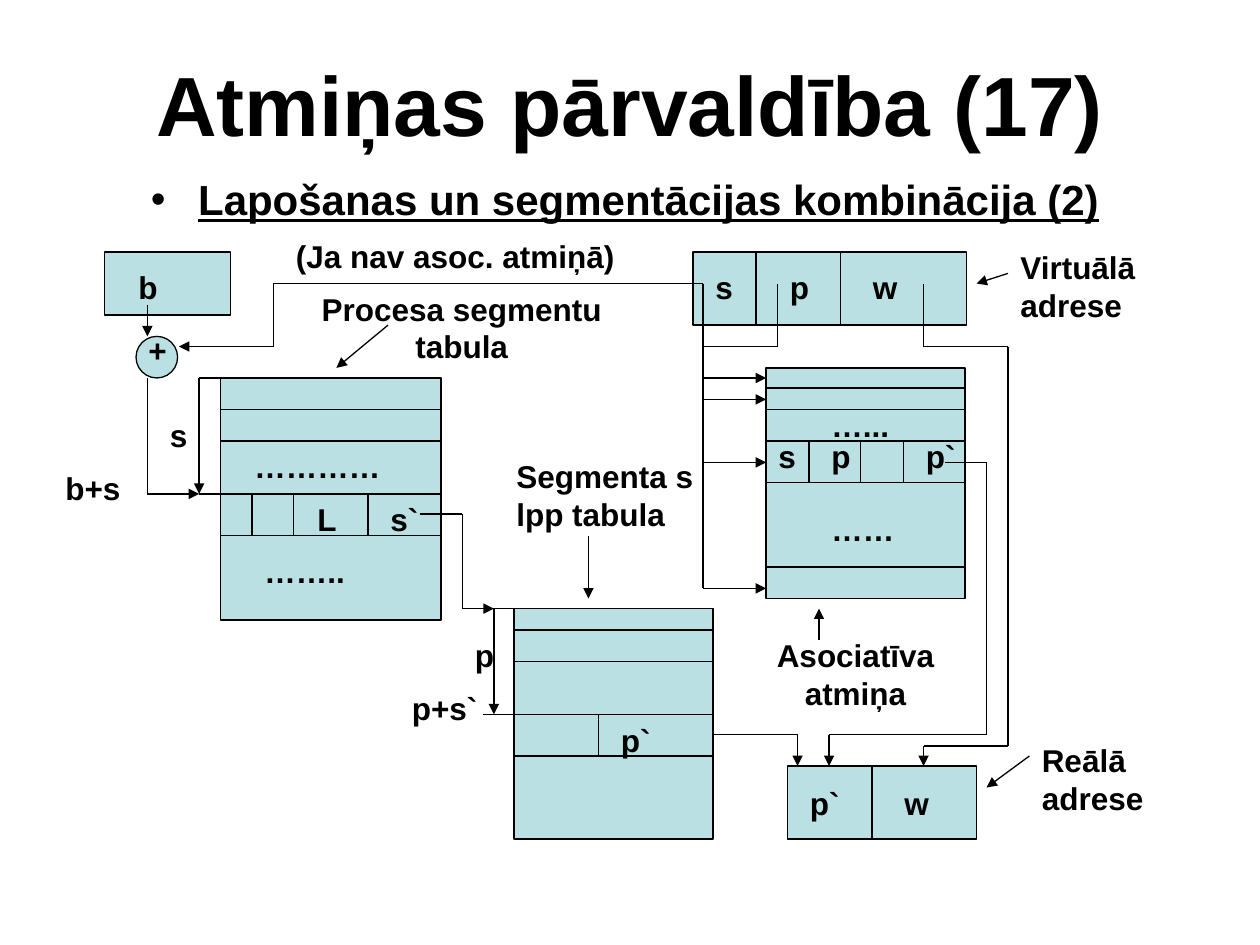
"""Build the slide on combining paging and segmentation."""
from itertools import pairwise

from lxml.etree import SubElement
from pptx import Presentation
from pptx.dml.color import RGBColor
from pptx.enum.shapes import MSO_CONNECTOR as CONN, MSO_SHAPE as SHAPE
from pptx.enum.text import MSO_ANCHOR as ANCHOR, MSO_AUTO_SIZE as AUTO, PP_ALIGN as ALIGN
from pptx.oxml.ns import qn
from pptx.util import Inches, Pt

BLACK = RGBColor(0x00, 0x00, 0x00)
TEAL = RGBColor(0xBB, 0xE0, 0xE3)


def write(s, text, size, align):
    tf = s.text_frame
    tf.word_wrap = True
    tf.text = text
    p = tf.paragraphs[0]
    p.alignment = align
    p.space_before = Pt(0)
    font = p.runs[0].font
    font.name, font.size, font.bold = "Arial", Pt(size), True
    font.color.rgb = BLACK
    return p


def draw_line(sp, points, arrow):
    segments = list(pairwise(points))
    for i, (start, end) in enumerate(segments, 1):
        c = sp.add_connector(CONN.STRAIGHT, *(Inches(v) for v in start + end))
        c.line.color.rgb = BLACK
        c.line.width = Pt(0.75)
        if arrow and i == len(segments):
            SubElement(c.line._get_or_add_ln(), qn("a:tailEnd"), type="triangle")
        SubElement(c._element.spPr, qn("a:effectLst"))


prs = Presentation()
prs.slide_width, prs.slide_height = Inches(10), Inches(7.5)
slide = prs.slides.add_slide(prs.slide_layouts[1])
sp = slide.shapes

title, body = sp.title, slide.placeholders[1]
title.left, title.top, title.width, title.height = map(Inches, (0.5, 0.3, 9, 1.03))
body.left, body.top, body.width, body.height = map(Inches, (0.5, 1.33, 8.92, 5.5))
title.text_frame.auto_size = body.text_frame.auto_size = AUTO.NONE
title.text_frame.vertical_anchor = ANCHOR.MIDDLE
write(title, "Atmiņas pārvaldība (17)", 48, ALIGN.CENTER)
p = body.text_frame.paragraphs[0]
pPr = p._p.get_or_add_pPr()
pPr.set("marL", "0")
pPr.set("indent", "0")
SubElement(pPr, qn("a:buNone"))
p = write(body, "Lapošanas un segmentācijas kombinācija (2)", 24, ALIGN.CENTER)
p.runs[0].font.underline = True

boxes = [
    (SHAPE.RECTANGLE, 0.83, 2, 1, 0.5),
    (SHAPE.RECTANGLE, 5.5, 2, 2.17, 0.58),
    (SHAPE.RECTANGLE, 6.08, 2.92, 1.58, 1.83),
    (SHAPE.RECTANGLE, 1.75, 3, 1.75, 1.92),
    (SHAPE.RECTANGLE, 4.08, 4.83, 1.58, 1.83),
    (SHAPE.RECTANGLE, 6.25, 6.08, 1.5, 0.58),
    (SHAPE.FLOWCHART_CONNECTOR, 1.08, 2.67, 0.33, 0.33),
]
for kind, *place in boxes:
    s = sp.add_shape(kind, *map(Inches, place))
    s.shadow.inherit = False
    s.fill.solid()
    s.fill.fore_color.rgb = TEAL
    s.line.color.rgb = BLACK
    s.line.width = Pt(0.75)

row_rules = [
    (1.75, 3.5, (3.25, 3.5, 4.25)),
    (1.58, 3.5, (3.92,)),
    (4.08, 5.67, (5, 5.25, 6)),
    (3.83, 5.67, (5.67,)),
    (6.08, 7.67, (3.08, 3.25, 3.5, 3.83, 4.5)),
]
for left, right, ys in row_rules:
    for y in ys:
        draw_line(sp, [(left, y), (right, y)], False)

column_rules = [
    (2, 2.58, (6, 6.67)),
    (3.92, 4.25, (2, 2.33, 2.92)),
    (3.5, 3.83, (6.42, 6.83, 7.17)),
    (5.67, 6, (4.75,)),
    (6.08, 6.67, (6.92,)),
]
for top, bottom, xs in column_rules:
    for x in xs:
        draw_line(sp, [(x, top), (x, bottom)], False)

plain_lines = [
    [(1.75, 3), (1.58, 3)],
    [(5.58, 2.25), (5.58, 4.67)],
    [(6.17, 2.25), (6.17, 2.75), (5.58, 2.75)],
    [(4.08, 4.83), (3.83, 4.83)],
]
for points in plain_lines:
    draw_line(sp, points, False)

arrows = [
    [(1.17, 2.42), (1.17, 2.67)],
    [(5.58, 2.25), (2.17, 2.25), (2.17, 2.75), (1.42, 2.75)],
    [(1.58, 3), (1.58, 3.92)],
    [(1.17, 3), (1.17, 3.92), (1.58, 3.92)],
    [(3.92, 4.83), (3.92, 5.67)],
    [(3.33, 4.08), (3.67, 4.08), (3.67, 4.83), (3.92, 4.83)],
    [(5.67, 5.83), (6.33, 5.83), (6.33, 6.08)],
    [(7.5, 3.67), (7.83, 3.67), (7.83, 5.83), (6.58, 5.83), (6.58, 6.08)],
    [(7.33, 2.25), (7.33, 2.75), (8, 2.75), (8, 5.92), (7.33, 5.92), (7.33, 6.08)],
    [(3.08, 2.58), (2.67, 2.92)],
    [(4.67, 4.25), (4.67, 4.75)],
    [(8, 2.17), (7.75, 2.25)],
    [(8.17, 6), (7.83, 6.25)],
    [(6.5, 5.08), (6.5, 4.83)],
]
arrows += [[(5.58, y), (6.08, y)] for y in (3, 3.17, 3.67, 4.67)]
for points in arrows:
    draw_line(sp, points, True)

labels = [
    ("b", 1, 2.08, 0.67),
    ("s", 5.58, 2.08, 0.5),
    ("p", 6.17, 2.08, 0.67),
    ("w", 6.83, 2.08, 0.67),
    ("+", 1.08, 2.58, 0.33),
    ("…………", 1.92, 3.5, 1.33),
    ("s`", 3, 3.92, 0.5),
    ("L", 2.42, 3.92, 0.5),
    ("b+s", 0.42, 3.67, 0.75),
    ("……..", 2, 4.33, 1.17),
    ("s", 6.08, 3.42, 0.42),
    ("p", 6.5, 3.42, 0.33),
    ("p`", 7.25, 3.42, 0.5),
    ("…...", 6.5, 3.17, 0.67),
    ("……", 6.5, 4, 0.83),
    ("p`", 4.83, 5.67, 0.75),
    ("s", 1.25, 3.25, 0.33),
    ("p+s`", 3.17, 5.42, 0.75),
    ("p", 3.67, 5, 0.33),
    ("(Ja nav asoc. atmiņā)", 2.25, 1.83, 2.92),
    ("p`", 6.33, 6.17, 0.58),
    ("w", 7.08, 6.17, 0.58),
]
captions = [
    ("Procesa segmentu tabula", 2.33, 2.25, 2.67, ALIGN.CENTER),
    ("Segmenta s lpp tabula", 4, 3.58, 1.67, ALIGN.LEFT),
    ("Virtuālā adrese", 8, 1.92, 1.33, ALIGN.LEFT),
    ("Reālā adrese", 8.17, 5.83, 1.17, ALIGN.LEFT),
    ("Asociatīva atmiņa", 5.83, 5, 1.92, ALIGN.CENTER),
]
texts = [(*label, 0.4, ALIGN.LEFT) for label in labels]
texts += [(*caption[:4], 0.7, caption[4]) for caption in captions]
for text, left, top, width, height, align in texts:
    s = sp.add_textbox(*map(Inches, (left, top, width, height)))
    s.text_frame.auto_size = AUTO.SHAPE_TO_FIT_TEXT
    write(s, text, 18, align)

prs.save("out.pptx")
